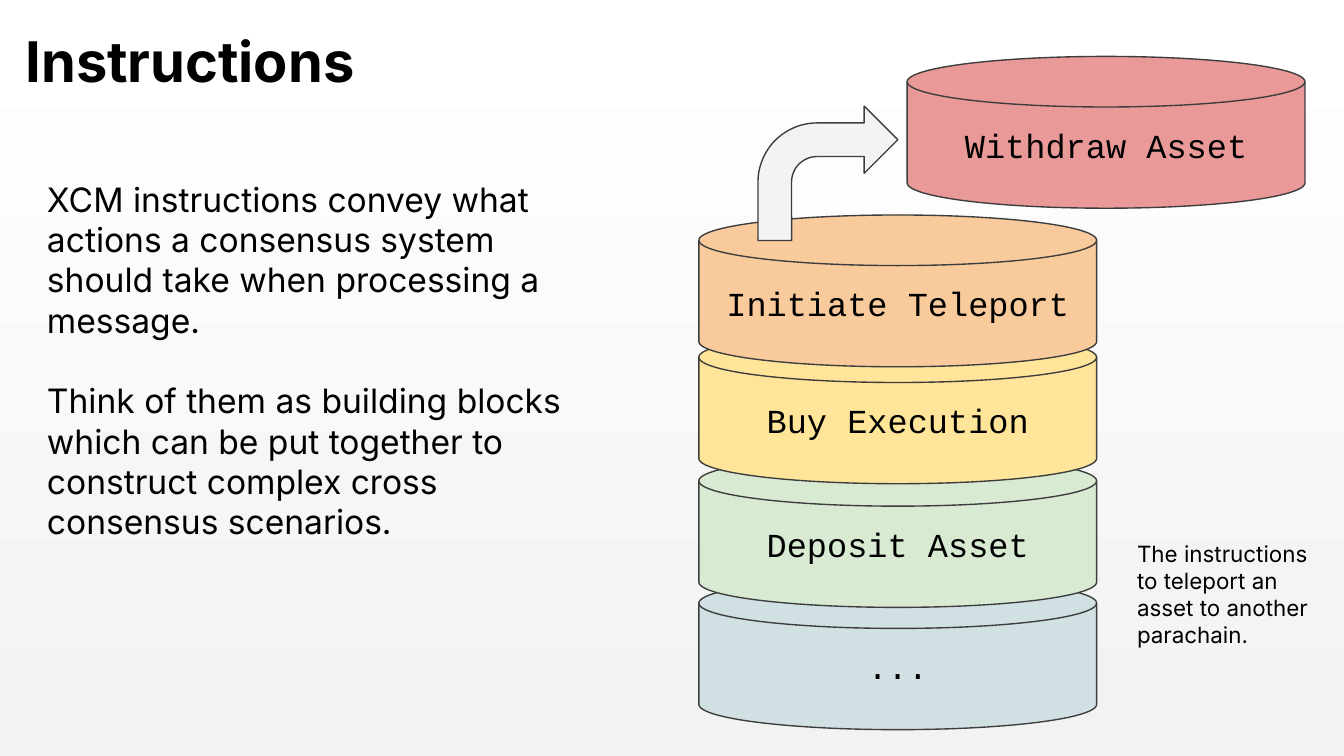
from dataclasses import dataclass

from pptx import Presentation
from pptx.dml.color import RGBColor
from pptx.enum.shapes import MSO_SHAPE
from pptx.enum.text import MSO_ANCHOR, PP_ALIGN
from pptx.shapes.autoshape import Shape
from pptx.slide import Slide
from pptx.util import Inches, Pt

DISK = MSO_SHAPE.FLOWCHART_MAGNETIC_DISK
BENT_ARROW = MSO_SHAPE.BENT_ARROW
TOP, MIDDLE = MSO_ANCHOR.TOP, MSO_ANCHOR.MIDDLE
LEFT, CENTER = PP_ALIGN.LEFT, PP_ALIGN.CENTER


@dataclass(frozen=True)
class Theme:
    text: str = "000000"
    outline: str = "3D3D3D"
    arrow: str = "F2F4F4"
    background_top: str = "FFFFFF"
    background_bottom: str = "F2F2F2"
    body_font: str = "Inter"
    code_font: str = "Courier New"
    title_size: float = 30
    body_size: float = 18
    note_size: float = 12
    paragraph_gap: float = 21.7
    outline_width: float = 0.75


@dataclass(frozen=True)
class Instruction:
    label: str
    left: float
    top: float
    color: str


THEME = Theme()
DISK_WIDTH, DISK_HEIGHT = 2.96, 1.13
STACK_LEFT = 5.2
INSTRUCTIONS = [
    Instruction("...", STACK_LEFT, 4.3, "D0E0E3"),
    Instruction("Deposit Asset", STACK_LEFT, 3.39, "D9EAD3"),
    Instruction("Buy Execution", STACK_LEFT, 2.47, "FFE599"),
    Instruction("Initiate Teleport", STACK_LEFT, 1.6, "F9CB9C"),
    Instruction("Withdraw Asset", 6.75, 0.42, "EA9999"),
]


def write_text(
    shape: Shape,
    *texts: str,
    size: float = THEME.body_size,
    font: str = THEME.body_font,
    bold: bool = False,
    align: PP_ALIGN = LEFT,
    anchor: MSO_ANCHOR = TOP,
    line_spacing: float = 1.0,
    inset: tuple[float, float] = (0.05, 0.05),
) -> None:
    frame = shape.text_frame
    frame.word_wrap = True
    frame.vertical_anchor = anchor
    frame.margin_left = frame.margin_right = Inches(inset[0])
    frame.margin_top = frame.margin_bottom = Inches(inset[1])
    for index, text in enumerate(texts):
        paragraph = frame.add_paragraph() if index else frame.paragraphs[0]
        paragraph.alignment = align
        paragraph.line_spacing = line_spacing
        if index:
            paragraph.space_before = Pt(THEME.paragraph_gap)
        run = paragraph.add_run()
        run.text = text
        run.font.name = font
        run.font.size = Pt(size)
        run.font.bold = bold
        run.font.color.rgb = RGBColor.from_string(THEME.text)


def add_text(
    slide: Slide, left: float, top: float, width: float, height: float, *texts: str, **text_format
) -> None:
    box = slide.shapes.add_textbox(Inches(left), Inches(top), Inches(width), Inches(height))
    write_text(box, *texts, **text_format)


def add_outlined_shape(
    slide: Slide, kind: MSO_SHAPE, left: float, top: float, width: float, height: float, color: str
) -> Shape:
    shape = slide.shapes.add_shape(kind, Inches(left), Inches(top), Inches(width), Inches(height))
    shape.shadow.inherit = False
    shape.fill.solid()
    shape.fill.fore_color.rgb = RGBColor.from_string(color)
    shape.line.color.rgb = RGBColor.from_string(THEME.outline)
    shape.line.width = Pt(THEME.outline_width)
    return shape


def add_instruction(slide: Slide, instruction: Instruction) -> None:
    disk = add_outlined_shape(
        slide, DISK, instruction.left, instruction.top, DISK_WIDTH, DISK_HEIGHT, instruction.color
    )
    write_text(disk, instruction.label, font=THEME.code_font, align=CENTER, anchor=MIDDLE)


def add_arrow(slide: Slide) -> None:
    arrow = add_outlined_shape(slide, BENT_ARROW, 5.64, 0.79, 1.04, 1, THEME.arrow)
    for index, value in enumerate((0.25, 0.25, 0.25, 0.44)):
        arrow.adjustments[index] = value


def paint_background(slide: Slide) -> None:
    fill = slide.background.fill
    fill.gradient()
    fill.gradient_angle = 270
    for stop, color in zip(fill.gradient_stops, (THEME.background_top, THEME.background_bottom)):
        stop.color.rgb = RGBColor.from_string(color)


def main() -> None:
    presentation = Presentation()
    presentation.slide_width = Inches(10)
    presentation.slide_height = Inches(10 * 9 / 16)
    slide = presentation.slides.add_slide(presentation.slide_layouts[6])
    paint_background(slide)
    add_text(
        slide, 0.15, 0.15, 4.46, 0.68, "Instructions",
        size=THEME.title_size, bold=True, anchor=MIDDLE, line_spacing=0.8, inset=(0.04, 0.02),
    )
    add_text(
        slide, 0.3, 1.28, 4.26, 2.83,
        "XCM instructions convey what actions a consensus system should take "
        "when processing a message.",
        "Think of them as building blocks which can be put together to construct "
        "complex cross consensus scenarios.",
    )
    add_text(
        slide, 8.41, 3.97, 1.41, 0.91,
        "The instructions to teleport an asset to another parachain.",
        size=THEME.note_size,
    )
    for instruction in INSTRUCTIONS:
        add_instruction(slide, instruction)
    add_arrow(slide)
    presentation.save("out.pptx")


if __name__ == "__main__":
    main()
